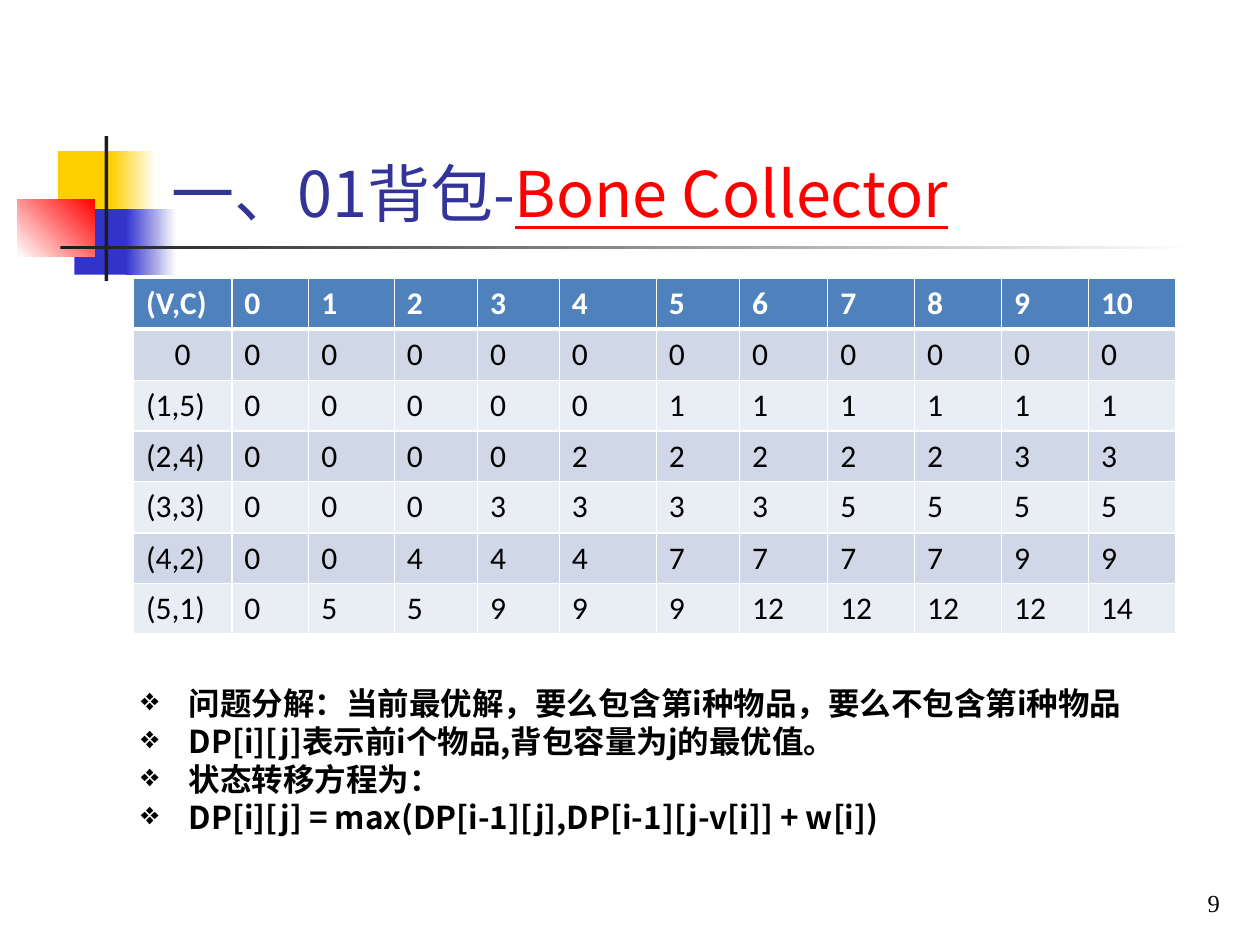
"""Build the 0/1 knapsack slide with its table of best values."""
from dataclasses import dataclass

from lxml import etree
from pptx import Presentation
from pptx.dml.color import RGBColor
from pptx.enum.shapes import MSO_SHAPE
from pptx.enum.text import MSO_ANCHOR, PP_ALIGN
from pptx.oxml.ns import qn
from pptx.util import Inches, Pt

RECT = MSO_SHAPE.RECTANGLE
BOTTOM = MSO_ANCHOR.BOTTOM
CENTER, RIGHT = PP_ALIGN.CENTER, PP_ALIGN.RIGHT
HAN, HAN_KR = "Noto Sans CJK SC", "Noto Sans CJK KR"
WHITE, BLACK, RED, BLUE = "FFFFFF", "000000", "FF0000", "3333CC"
GOLD, DARK, NAVY = "FFCF01", "1C1C1C", "333399"
HEAD, BANDS = "4F81BD", ("E9EDF4", "D0D8E8")


@dataclass
class Block:
    """A decorative bar, plain or fading towards a second colour."""
    box: tuple
    color: str
    fade: str = ""
    angle: int = 0


@dataclass
class Style:
    """The look of a run of text."""
    size: int
    font: str
    color: str
    bold: bool = False
    underline: bool = False


BLOCKS = [
    Block((0.46, 1.2, 0.48, 0.52), GOLD),
    Block((0.88, 1.2, 0.36, 0.52), GOLD, WHITE),
    Block((0.59, 1.66, 0.46, 0.52), BLUE),
    Block((1, 1.66, 0.4, 0.52), BLUE, WHITE),
    Block((0.14, 1.58, 0.61, 0.46), WHITE, RED, 45),
    Block((0.83, 1.08, 0.03, 1.15), DARK),
    Block((0.48, 1.95, 9, 0.03), DARK, WHITE),
]
TITLE = [
    ("一、01背包", Style(36, HAN, NAVY)),
    ("-", Style(36, HAN_KR, NAVY)),
    ("Bone Collector", Style(36, HAN_KR, RED, underline=True)),
]
WIDTHS = (0.78, 0.61, 0.68, 0.66, 0.65, 0.77, 0.66, 0.7, 0.69, 0.69, 0.69, 0.69)
HEIGHTS = (0.4, 0.41, 0.4, 0.4, 0.41, 0.4, 0.4)
ROWS = [line.split() for line in (
    "(V,C) 0 1 2 3 4 5 6 7 8 9 10",
    "0 0 0 0 0 0 0 0 0 0 0 0",
    "(1,5) 0 0 0 0 0 1 1 1 1 1 1",
    "(2,4) 0 0 0 0 2 2 2 2 2 3 3",
    "(3,3) 0 0 0 3 3 3 3 5 5 5 5",
    "(4,2) 0 0 4 4 4 7 7 7 7 9 9",
    "(5,1) 0 5 5 9 9 9 12 12 12 12 14",
)]
POINTS = (
    "问题分解：当前最优解，要么包含第i种物品，要么不包含第i种物品",
    "DP[i][j]表示前i个物品,背包容量为j的最优值。",
    "状态转移方程为：",
    "DP[i][j] = max(DP[i-1][j],DP[i-1][j-v[i]] + w[i])",
)


def rgb(code: str) -> RGBColor:
    """Turn a hex string into a colour."""
    return RGBColor.from_string(code)


def paint(fill, code: str) -> None:
    """Give a fill one solid colour."""
    fill.solid()
    fill.fore_color.rgb = rgb(code)


def add_run(para, text: str, style: Style) -> None:
    """Add a styled run to a paragraph."""
    run = para.add_run()
    run.text = text
    look = {"size": Pt(style.size), "name": style.font,
            "bold": style.bold, "underline": style.underline}
    for key, value in look.items():
        setattr(run.font, key, value)
    run.font.color.rgb = rgb(style.color)
    east = etree.Element(qn("a:ea"), typeface=style.font)
    run.font._element.find(qn("a:latin")).addnext(east)


def add_block(slide, block: Block):
    """Draw one bar without line or shadow."""
    shape = slide.shapes.add_shape(RECT, *map(Inches, block.box))
    shape.shadow.inherit = False
    shape.line.fill.background()
    if block.fade:
        shape.fill.gradient()
        shape.fill.gradient_angle = block.angle
        for stop, code, place in zip(shape.fill.gradient_stops,
                                     (block.color, block.fade), (0, 1)):
            stop.color.rgb = rgb(code)
            stop.position = place
    else:
        paint(shape.fill, block.color)
    return shape


def add_frame(slide, box: tuple):
    """Add a wrapping text box and return its frame."""
    frame = slide.shapes.add_textbox(*map(Inches, box)).text_frame
    frame.word_wrap = True
    return frame


def add_edge(cell, side: str, width: int) -> None:
    """Add a white border to one side of a cell."""
    edge = etree.SubElement(cell._tc.get_or_add_tcPr(), qn(f"a:ln{side}"),
                            w=str(Pt(width)))
    fill = etree.SubElement(edge, qn("a:solidFill"))
    etree.SubElement(fill, qn("a:srgbClr"), val=WHITE)


def add_grid(slide) -> None:
    """Draw the table of best values."""
    box = (1.06, 2.21, sum(WIDTHS), sum(HEIGHTS))
    table = slide.shapes.add_table(len(ROWS), len(WIDTHS),
                                   *map(Inches, box)).table
    for col, width in zip(table.columns, WIDTHS):
        col.width = Inches(width)
    for y, (row, height) in enumerate(zip(ROWS, HEIGHTS)):
        table.rows[y].height = Inches(height)
        top = y == 0
        edges = {"L": 1, "R": 1, "T": 3 if y == 1 else 1, "B": 3 if top else 1}
        style = Style(18, "Calibri", WHITE if top else BLACK, bold=top)
        for x, text in enumerate(row):
            cell = table.cell(y, x)
            for side, width in edges.items():
                add_edge(cell, side, width)
            paint(cell.fill, HEAD if top else BANDS[y % 2])
            para = cell.text_frame.paragraphs[0]
            add_run(para, text, style)
            if (y, x) == (1, 0):
                para.alignment = CENTER


def add_points(slide) -> None:
    """Write the bulleted notes below the table."""
    frame = add_frame(slide, (1.02, 5.36, 8.19, 1.3))
    frame.margin_top = Inches(0.07)
    style = Style(18, HAN, BLACK, bold=True)
    for i, text in enumerate(POINTS):
        para = frame.add_paragraph() if i else frame.paragraphs[0]
        para.line_spacing = Pt(21.7)
        props = para._p.get_or_add_pPr()
        indent = Inches(0.38)
        for key, value in {"marL": indent, "indent": -indent}.items():
            props.set(key, str(value))
        etree.SubElement(props, qn("a:buChar"), char="❖")
        add_run(para, text, style)


def main() -> None:
    """Build and save the slide."""
    deck = Presentation()
    deck.slide_width, deck.slide_height = Inches(10), Inches(7.5)
    slide = deck.slides.add_slide(deck.slide_layouts[6])
    for block in BLOCKS:
        add_block(slide, block)
    title = add_frame(slide, (1.26, 0.23, 8.52, 1.6))
    title.vertical_anchor = BOTTOM
    title.margin_bottom = 0
    for text, style in TITLE:
        add_run(title.paragraphs[0], text, style)
    add_grid(slide)
    add_points(slide)
    page = add_block(slide, Block((7.7, 6.83, 2.08, 0.5), WHITE)).text_frame
    page.vertical_anchor = BOTTOM
    page.paragraphs[0].alignment = RIGHT
    add_run(page.paragraphs[0], "9", Style(14, "Times New Roman", BLACK))
    deck.save("out.pptx")


if __name__ == "__main__":
    main()
